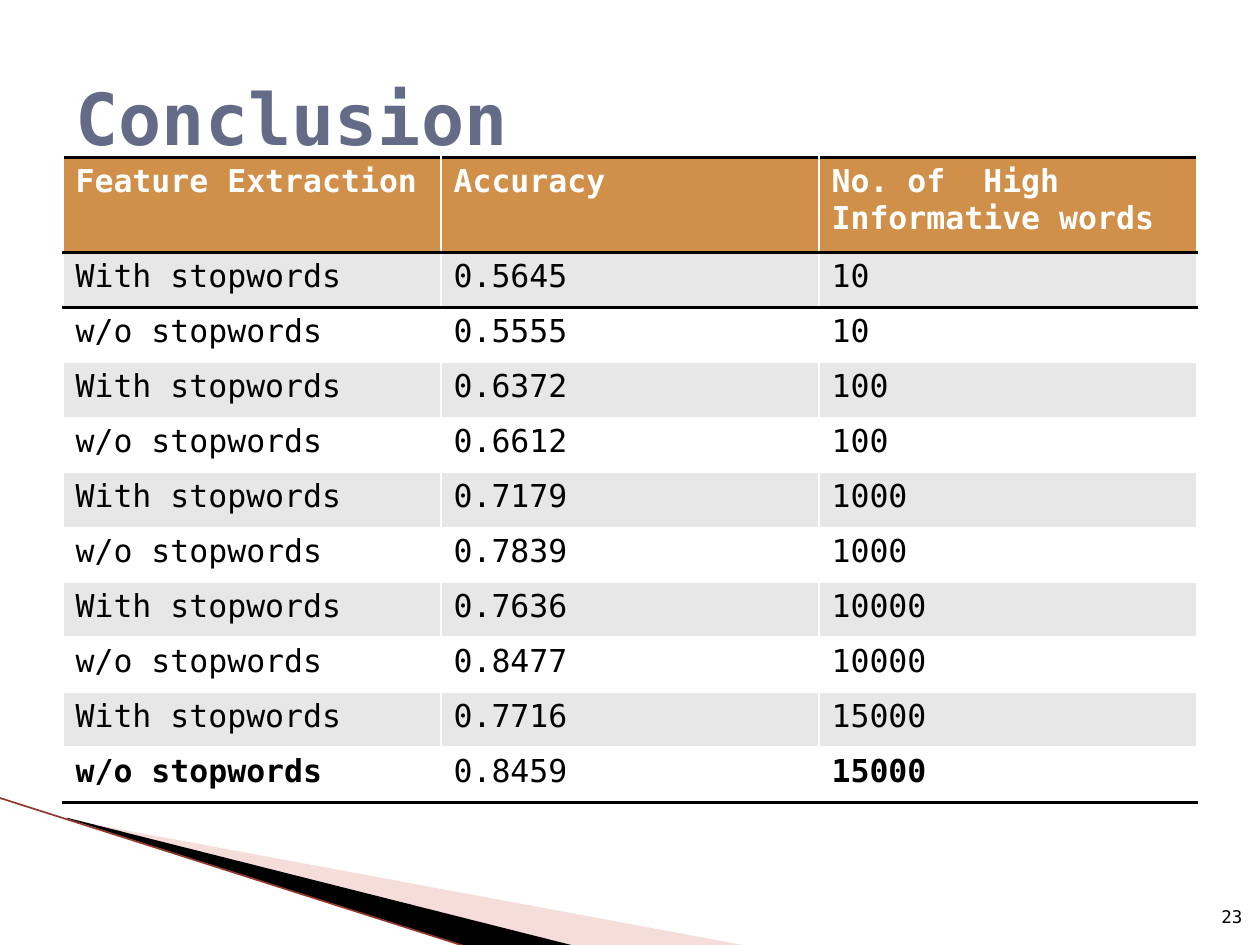
from lxml.etree import SubElement
from pptx import Presentation
from pptx.dml.color import RGBColor
from pptx.enum.text import MSO_ANCHOR, PP_ALIGN
from pptx.oxml.ns import qn
from pptx.util import Pt

FONT = "DejaVu Sans Mono"
TITLE = "Conclusion"
PAGE = "23"
HEADINGS = ("Feature Extraction", "Accuracy", "No. of  High Informative words")
FEATURES = ("With stopwords", "w/o stopwords")
RESULTS = [
    ("10", ("0.5645", "0.5555")),
    ("100", ("0.6372", "0.6612")),
    ("1000", ("0.7179", "0.7839")),
    ("10000", ("0.7636", "0.8477")),
    ("15000", ("0.7716", "0.8459")),
]
WEDGES = [
    ("E7ACA4", 40, [(39.6, 468.5), (428.4, 540.7), (328.3, 540.7), (39.6, 468)]),
    ("000000", 100, [(38.2, 467.3), (329, 540.7), (267.8, 541.4), (38.9, 468)]),
]
EDGE = (-0.7, 455.8, 267.8, 541.4)
EDGE_COLOR = "94382B"

TITLE_BOX = (36, 21.6, 648, 90)
TABLE_BOX = (36, 90, 648, 368.6)
PAGE_BOX = (681.1, 504.7, 28.8, 28.8)
HEAD_HEIGHT, ROW_HEIGHT = 54.3, 31.43
TITLE_FORMAT = {"name": FONT, "size": Pt(41), "bold": True}
PAGE_FORMAT = {"name": FONT, "size": Pt(10), "bold": False}


def rgb(code):
    return RGBColor.from_string(code)


def points(values):
    return [Pt(value) for value in values]


def write(frame, words, color, style, align=PP_ALIGN.LEFT):
    paragraph = frame.paragraphs[0]
    paragraph.alignment = align
    run = paragraph.add_run()
    run.text = words
    for key, value in style.items():
        setattr(run.font, key, value)
    run.font.color.rgb = rgb(color)


def rule(cell, edge):
    border = SubElement(cell._tc.get_or_add_tcPr(), qn("a:" + edge), w=str(Pt(2)))
    SubElement(SubElement(border, qn("a:solidFill")), qn("a:srgbClr"), val="000000")


deck = Presentation()
deck.slide_width, deck.slide_height = Pt(720), Pt(540)
slide = deck.slides.add_slide(deck.slide_layouts[5])
shapes = slide.shapes

for color, opacity, corners in WEDGES:
    start, *rest = [points(corner) for corner in corners]
    outline = shapes.build_freeform(*start)
    outline.add_line_segments(rest)
    wedge = outline.convert_to_shape()
    wedge.shadow.inherit = False
    wedge.fill.solid()
    wedge.fill.fore_color.rgb = rgb(color)
    wedge.line.fill.background()
    if opacity < 100:
        tint = wedge.fill._xPr.find(".//" + qn("a:srgbClr"))
        SubElement(tint, qn("a:alpha"), val=str(opacity * 1000))

edge = shapes.add_connector(1, *points(EDGE))
edge.line.color.rgb = rgb(EDGE_COLOR)
edge.line.width = Pt(0.95)
SubElement(edge._element.spPr, qn("a:effectLst"))

rows = [HEADINGS] + [
    (feature, accuracy, count)
    for count, accuracies in RESULTS
    for feature, accuracy in zip(FEATURES, accuracies)
]
last = len(rows) - 1
results = shapes.add_table(len(rows), len(HEADINGS), *points(TABLE_BOX)).table
for r, row in enumerate(rows):
    results.rows[r].height = Pt(ROW_HEIGHT if r else HEAD_HEIGHT)
    fill = "D19049" if r == 0 else "E7E7E7" if r % 2 else "FFFFFF"
    for c, words in enumerate(row):
        cell = results.cell(r, c)
        bold = r == 0 or (r == last and c != 1)
        style = {"name": FONT, "size": Pt(18), "bold": bold}
        write(cell.text_frame, words, "000000" if r else "FFFFFF", style)
        if r == 0:
            rule(cell, "lnT")
        if r in (0, last):
            rule(cell, "lnB")
        if r == 1:
            rule(cell, "lnT")
        cell.fill.solid()
        cell.fill.fore_color.rgb = rgb(fill)

title = shapes.title
title.left, title.top, title.width, title.height = points(TITLE_BOX)
title.text_frame.vertical_anchor = MSO_ANCHOR.MIDDLE
write(title.text_frame, TITLE, "646B86", TITLE_FORMAT)

page = shapes.add_textbox(*points(PAGE_BOX)).text_frame
page.word_wrap = True
page.vertical_anchor = MSO_ANCHOR.BOTTOM
page.margin_left = page.margin_right = 0
write(page, PAGE, "000000", PAGE_FORMAT, PP_ALIGN.RIGHT)

deck.save("out.pptx")
